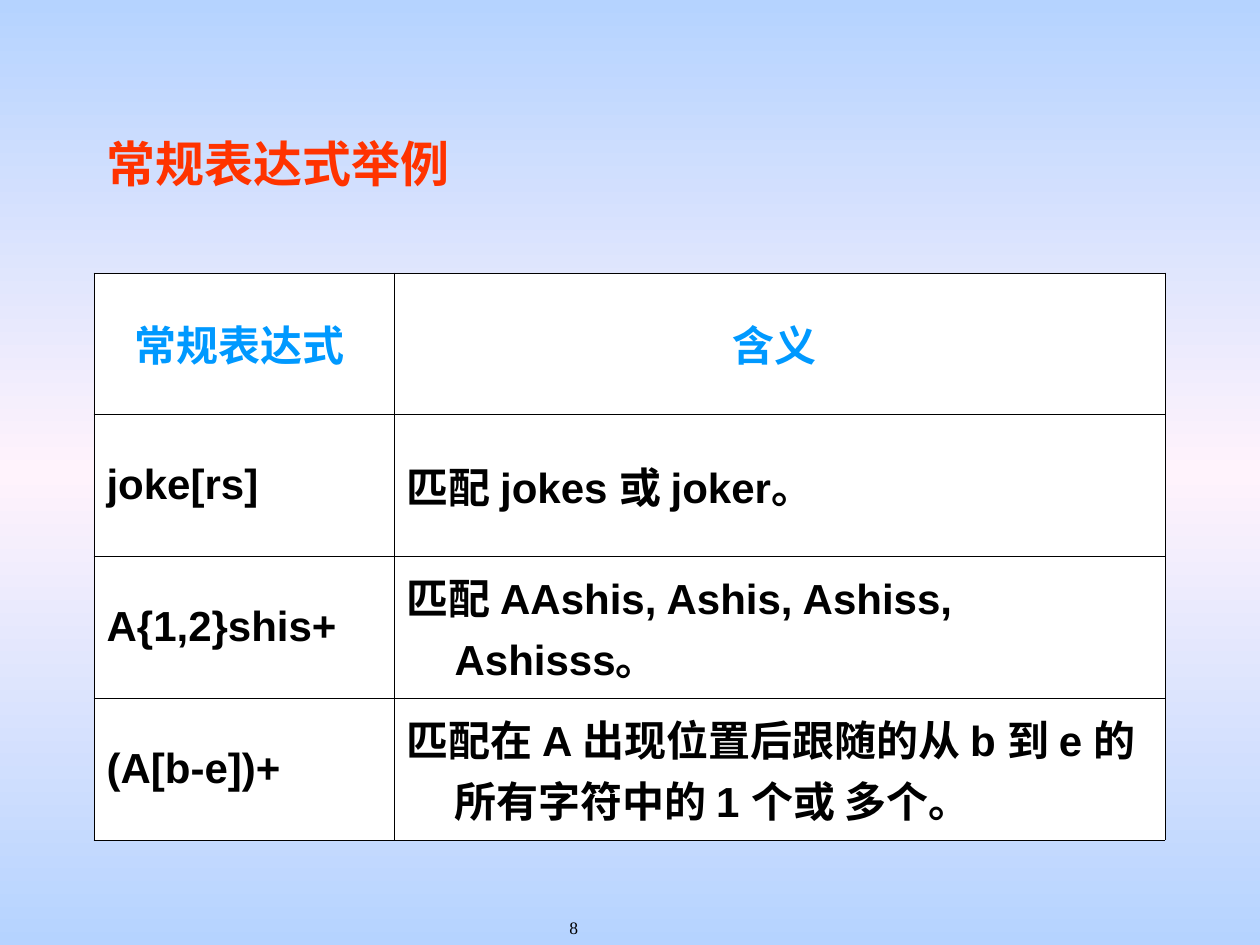
import copy
from dataclasses import dataclass

import pptx
import pptx.dml.color
import pptx.enum.text
import pptx.oxml
import pptx.oxml.ns
import pptx.util

EMU_PER_PX = 914400 / 126
COLORS = {
    "edge": "B5D3FF",
    "middle": "FFF3FC",
    "title": "FF3300",
    "header": "0099FF",
    "text": "000000",
    "cell": "FFFFFF",
}
COLUMN_WIDTHS = (300, 771)
ROW_HEIGHTS = (141, 142, 142, 142)
HANGING_INDENT = 48
BORDER_POINTS = 0.45
ALIGN = pptx.enum.text.PP_ALIGN
ANCHOR = pptx.enum.text.MSO_ANCHOR


@dataclass
class TableRow:
    expression: str
    meaning: str
    color: str = "text"
    alignment: ALIGN = ALIGN.LEFT


ROWS = (
    TableRow("常规表达式 ", "含义 ", "header", ALIGN.CENTER),
    TableRow("joke[rs]", "匹配 jokes 或 joker。"),
    TableRow("A{1,2}shis+", "匹配 AAshis, Ashis, Ashiss, Ashisss。"),
    TableRow("(A[b-e])+", "匹配在 A 出现位置后跟随的从 b 到 e 的所有字符中的 1 个或 多个。"),
)


def px(length: int) -> pptx.util.Emu:
    return pptx.util.Emu(round(length * EMU_PER_PX))


def rgb(name: str) -> pptx.dml.color.RGBColor:
    return pptx.dml.color.RGBColor.from_string(COLORS[name])


def format_paragraph(paragraph, font_name: str, size: int, color: str,
                     bold: bool = False, alignment: ALIGN = ALIGN.LEFT) -> None:
    paragraph.alignment = alignment
    paragraph.font.name = font_name
    paragraph.font.size = pptx.util.Pt(size)
    paragraph.font.bold = bold
    paragraph.font.color.rgb = rgb(color)


def paint_background(slide) -> None:
    fill = slide.background.fill
    fill.gradient()
    fill.gradient_angle = 90
    stop_list = slide.element.xpath(".//a:gsLst")[0]
    stop_list.insert(1, copy.deepcopy(stop_list[0]))
    stops = zip(fill.gradient_stops, (0, 0.5, 1), ("edge", "middle", "edge"))
    for stop, position, color in stops:
        stop.position = position
        stop.color.rgb = rgb(color)


def add_borders(cell) -> None:
    properties = cell._tc.get_or_add_tcPr()
    width = pptx.util.Pt(BORDER_POINTS)
    for index, side in enumerate(("lnL", "lnR", "lnT", "lnB")):
        border = pptx.oxml.parse_xml(
            f'<a:{side} {pptx.oxml.ns.nsdecls("a")} w="{width}"><a:solidFill>'
            f'<a:srgbClr val="{COLORS["text"]}"/></a:solidFill></a:{side}>'
        )
        properties.insert(index, border)


def fill_cell(cell, text: str, row: TableRow) -> None:
    cell.text = text
    cell.vertical_anchor = ANCHOR.MIDDLE
    cell.fill.solid()
    cell.fill.fore_color.rgb = rgb("cell")
    add_borders(cell)
    paragraph = cell.text_frame.paragraphs[0]
    properties = paragraph._p.get_or_add_pPr()
    properties.set("marL", str(px(HANGING_INDENT)))
    properties.set("indent", str(-px(HANGING_INDENT)))
    format_paragraph(paragraph, "Arial", 24, row.color, True, row.alignment)


def add_expression_table(slide) -> None:
    table = slide.shapes.add_table(
        len(ROWS), len(COLUMN_WIDTHS), px(94), px(273),
        px(sum(COLUMN_WIDTHS)), px(sum(ROW_HEIGHTS))
    ).table
    for column, width in zip(table.columns, COLUMN_WIDTHS):
        column.width = px(width)
    for index, (row, height) in enumerate(zip(ROWS, ROW_HEIGHTS)):
        table.rows[index].height = px(height)
        fill_cell(table.cell(index, 0), row.expression, row)
        fill_cell(table.cell(index, 1), row.meaning, row)


def add_title(slide) -> None:
    title = slide.shapes.title
    title.left, title.top, title.width, title.height = px(94), px(84), px(1071), px(158)
    title.text_frame.text = "常规表达式举例"
    title.text_frame.vertical_anchor = ANCHOR.MIDDLE
    format_paragraph(title.text_frame.paragraphs[0], "Times New Roman", 28, "title", True)


def add_page_number(slide) -> None:
    box = slide.shapes.add_textbox(px(557), px(911), px(105), px(34))
    box.text_frame.word_wrap = True
    box.text_frame.text = "8"
    format_paragraph(box.text_frame.paragraphs[0], "Times New Roman", 10, "text")


def main() -> None:
    presentation = pptx.Presentation()
    presentation.slide_width = px(1260)
    presentation.slide_height = px(945)
    slide = presentation.slides.add_slide(presentation.slide_layouts[5])
    paint_background(slide)
    add_page_number(slide)
    add_title(slide)
    add_expression_table(slide)
    presentation.save("out.pptx")


if __name__ == "__main__":
    main()
